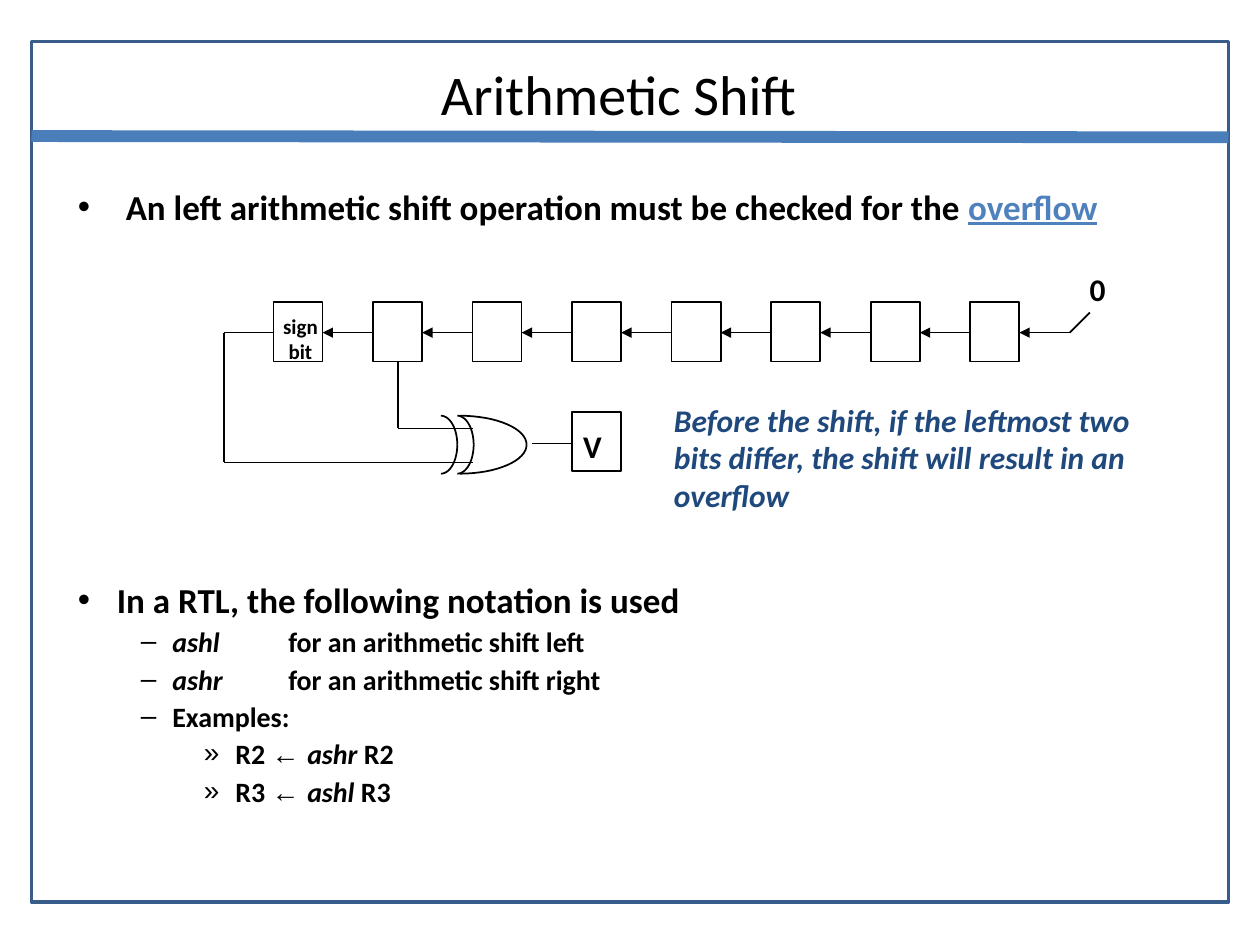
from math import cos, pi, sin

from lxml import etree
from pptx import Presentation
from pptx.dml.color import RGBColor
from pptx.enum.shapes import MSO_CONNECTOR, MSO_SHAPE
from pptx.enum.text import MSO_ANCHOR, MSO_AUTO_SIZE, PP_ALIGN
from pptx.oxml.ns import qn
from pptx.util import Inches, Pt

STRAIGHT = MSO_CONNECTOR.STRAIGHT
RECTANGLE = MSO_SHAPE.RECTANGLE
LEFT, CENTER = PP_ALIGN.LEFT, PP_ALIGN.CENTER

COLORS = {"text": "000000", "frame": "385D8A", "band": "4A7EBB",
          "accent": "4F81BD", "remark": "1F497D"}
FONT, SYMBOL_FONT = "Calibri", "Arial"

# Content: each bullet is (level, runs); each run is (text, style)
TITLE = "Arithmetic Shift"
OVERFLOW_POINT = [(0, [("An left arithmetic shift operation must be checked for the ", ""),
                       ("overflow", "link")])]
NOTATION = [
    (0, [("In a RTL, the following notation is used", "")]),
    (1, [("ashl\t", "italic"), ("for an arithmetic shift left", "")]),
    (1, [("ashr\t", "italic"), ("for an arithmetic shift right", "")]),
    (1, [("Examples:", "")]),
    (2, [("R2 ", ""), ("← ", "symbol"), ("ashr", "italic"), (" R2", "")]),
    (2, [("R3 ", ""), ("← ", "symbol"), ("ashl", "italic"), (" R3", "")]),
]
REMARK = ["Before the shift, if the leftmost two",
          "bits differ, the shift will result in an", "overflow"]

# Bullet levels: character, text indent, hanging indent, size
LEVELS = [("•", 0.31, 0.31, 20), ("–", 0.75, 0.25, 16), ("»", 1.25, 0.25, 16)]
TAB_STOP = 1.67

# Register grid
BIT_COUNT, BIT_LEFT, BIT_TOP, BIT_PITCH = 8, 2.17, 2.4, 0.79
BIT_WIDTH, BIT_HEIGHT = 0.39, 0.47
SHIFT_Y = 2.64

# XOR gate: half ellipses as (left, depth), sharing one top and height
GATE_TOP, GATE_HEIGHT = 3.3, 0.46
GATE_CURVES = [(3.65, 0.53), (3.63, 0.13), (3.5, 0.13)]
CURVE_STEPS = 16
INPUT_X, UPPER_INPUT_Y, LOWER_INPUT_Y, OUTPUT_Y = 3.75, 3.4, 3.67, 3.52
FEEDBACK_X, TAP_X = 1.78, 3.16
V_LEFT, V_TOP = BIT_LEFT + 3 * BIT_PITCH, 3.27

presentation = Presentation()
presentation.slide_width, presentation.slide_height = Inches(10), Inches(7.5)
slide = presentation.slides.add_slide(presentation.slide_layouts[5])
shapes = slide.shapes


def rgb(name):
    return RGBColor.from_string(COLORS[name])


def style_outline(shape, color="text", width=1):
    shape.shadow.inherit = False
    shape.fill.background()
    shape.line.color.rgb = rgb(color)
    shape.line.width = Pt(width)


def add_box(left, top, width, height, color="text", line_width=1):
    box = shapes.add_shape(RECTANGLE, *map(Inches, (left, top, width, height)))
    style_outline(box, color, line_width)


def add_line(start, end, color="text", width=1, arrow=False):
    line = shapes.add_connector(STRAIGHT, *map(Inches, (*start, *end)))
    line.line.color.rgb = rgb(color)
    line.line.width = Pt(width)
    if arrow:
        etree.SubElement(line.line._get_or_add_ln(), qn("a:tailEnd"), type="triangle")
    etree.SubElement(line._element.spPr, qn("a:effectLst"))


def style_paragraph(paragraph, size, color="text", bold=True, italic=False):
    font = paragraph.font
    font.name, font.size, font.bold, font.italic = FONT, Pt(size), bold, italic
    font.color.rgb = rgb(color)


def add_label(lines, left, top, width, height, size, align=LEFT, margin=0.1, **style):
    frame = shapes.add_textbox(*map(Inches, (left, top, width, height))).text_frame
    frame.word_wrap = False
    frame.margin_left = frame.margin_right = Inches(margin)
    frame.text = "\n".join(lines)
    for paragraph in frame.paragraphs:
        paragraph.alignment = align
        style_paragraph(paragraph, size, **style)


def add_bullet(paragraph, character, indent, hanging):
    properties = paragraph._p.get_or_add_pPr()
    properties.set("marL", str(Inches(indent)))
    properties.set("indent", str(-Inches(hanging)))
    etree.SubElement(properties, qn("a:buFont"), typeface=SYMBOL_FONT)
    etree.SubElement(properties, qn("a:buChar"), char=character)
    tabs = etree.SubElement(properties, qn("a:tabLst"))
    etree.SubElement(tabs, qn("a:tab"), pos=str(Inches(TAB_STOP)), algn="l")


def add_bullets(items, top, height, spacing=1.0, first_indent=0.31):
    frame = shapes.add_textbox(*map(Inches, (0.52, top, 8.74, height))).text_frame
    frame.word_wrap = True
    for index, (level, runs) in enumerate(items):
        paragraph = frame.add_paragraph() if index else frame.paragraphs[0]
        character, indent, hanging, size = LEVELS[level]
        if level == 0:
            indent = hanging = first_indent
        paragraph.level = level
        paragraph.line_spacing = spacing
        paragraph.space_before = Pt(6 if index else 0)
        add_bullet(paragraph, character, indent, hanging)
        style_paragraph(paragraph, size)
        for text, style in runs:
            run = paragraph.add_run()
            run.text = text
            if style == "italic":
                run.font.italic = True
            elif style == "symbol":
                run.font.name = SYMBOL_FONT
            elif style == "link":
                run.font.underline = True
                run.font.color.rgb = rgb("accent")


def add_quarter_arc(left, depth, start_angle):
    radius = GATE_HEIGHT / 2
    angles = [start_angle + pi / 2 * step / CURVE_STEPS for step in range(CURVE_STEPS + 1)]
    points = [(Inches(left + depth * sin(angle)),
               Inches(GATE_TOP + radius * (1 - cos(angle)))) for angle in angles]
    builder = shapes.build_freeform(*points[0])
    builder.add_line_segments(points[1:], close=False)
    style_outline(builder.convert_to_shape())


# Frame, title and band
add_box(0.25, 0.33, 9.5, 6.83, "frame", 2)
title = shapes.title
title.left, title.top, title.width, title.height = map(Inches, (0.7, 0.42, 8.42, 0.64))
title.text_frame.text = TITLE
title.text_frame.auto_size = MSO_AUTO_SIZE.NONE
title.text_frame.vertical_anchor = MSO_ANCHOR.TOP
title.text_frame.paragraphs[0].alignment = CENTER
style_paragraph(title.text_frame.paragraphs[0], 32, bold=False)
add_line((0.25, 1.08), (9.75, 1.09), "band", 6.75)

# Bullets
add_bullets(OVERFLOW_POINT, 1.42, 1.06, first_indent=0.38)
add_bullets(NOTATION, 4.61, 1.97, spacing=0.8)

# Register bits, each fed from the right
for bit in range(BIT_COUNT):
    left = BIT_LEFT + bit * BIT_PITCH
    add_box(left, BIT_TOP, BIT_WIDTH, BIT_HEIGHT)
    add_line((left + BIT_PITCH, SHIFT_Y), (left + BIT_WIDTH, SHIFT_Y), arrow=True)
feed_x = BIT_LEFT + BIT_COUNT * BIT_PITCH
add_line((feed_x, SHIFT_Y), (feed_x + 0.16, SHIFT_Y - 0.16))

# Overflow detector
for left, depth in GATE_CURVES:
    for start_angle in (0, pi / 2):
        add_quarter_arc(left, depth, start_angle)
WIRES = [
    [(BIT_LEFT, SHIFT_Y), (FEEDBACK_X, SHIFT_Y), (FEEDBACK_X, LOWER_INPUT_Y),
     (INPUT_X, LOWER_INPUT_Y)],
    [(TAP_X, BIT_TOP + BIT_HEIGHT), (TAP_X, UPPER_INPUT_Y), (INPUT_X, UPPER_INPUT_Y)],
    [(4.22, OUTPUT_Y), (V_LEFT, OUTPUT_Y)],
]
for wire in WIRES:
    for start, end in zip(wire, wire[1:]):
        add_line(start, end)
add_box(V_LEFT, V_TOP, BIT_WIDTH, BIT_HEIGHT)

# Diagram labels
add_label(["0"], 8.55, 2.09, 0.32, 0.4, 18)
add_label(["V"], 4.53, 3.34, 0.35, 0.4, 18)
add_label(["sign", "bit"], 2.15, 2.44, 0.47, 0.5, 12, CENTER, margin=0)
add_label(REMARK, 5.25, 3.13, 3.82, 1, 18, color="remark", italic=True)

presentation.save("out.pptx")
